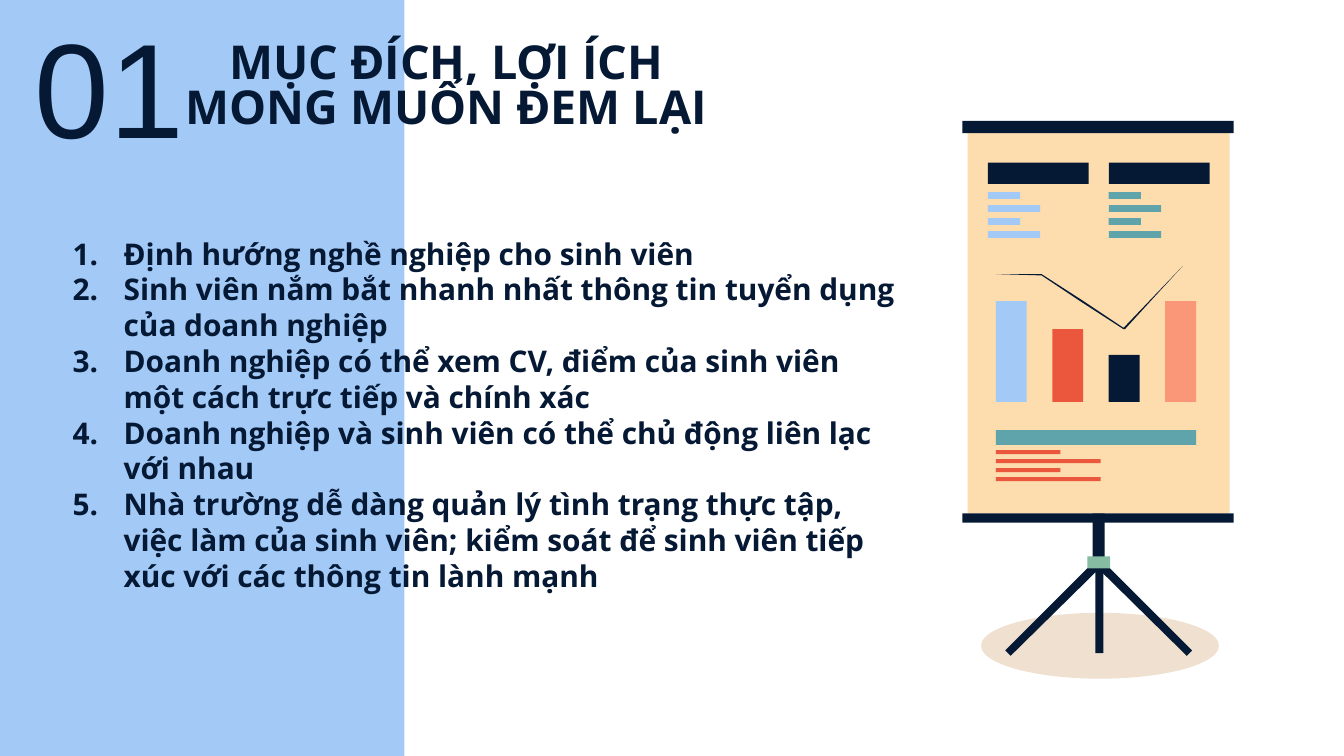
from lxml import etree
from pptx import Presentation
from pptx.dml.color import RGBColor
from pptx.enum.shapes import MSO_SHAPE
from pptx.enum.text import MSO_ANCHOR, MSO_AUTO_SIZE, PP_ALIGN
from pptx.oxml.ns import qn
from pptx.util import Inches, Pt

RECTANGLE, OVAL = MSO_SHAPE.RECTANGLE, MSO_SHAPE.OVAL
TOP, MIDDLE, BOTTOM = MSO_ANCHOR.TOP, MSO_ANCHOR.MIDDLE, MSO_ANCHOR.BOTTOM
LEFT, CENTER = PP_ALIGN.LEFT, PP_ALIGN.CENTER
NO_AUTOFIT = MSO_AUTO_SIZE.NONE

NAVY = RGBColor(0x05, 0x19, 0x34)
BLUE = RGBColor(0xA3, 0xCA, 0xF7)
TEAL = RGBColor(0x5F, 0xA4, 0xAB)
RED = RGBColor(0xEB, 0x57, 0x3D)
SALMON = RGBColor(0xFA, 0x97, 0x78)
CREAM = RGBColor(0xFD, 0xDC, 0xAE)
GREEN = RGBColor(0x85, 0xBC, 0xA2)
BROWN = RGBColor(0xB4, 0x5F, 0x06)

GOALS = [
    "Định hướng nghề nghiệp cho sinh viên",
    "Sinh viên nắm bắt nhanh nhất thông tin tuyển dụng của doanh nghiệp",
    "Doanh nghiệp có thể xem CV, điểm của sinh viên một cách trực tiếp và chính xác",
    "Doanh nghiệp và sinh viên có thể chủ động liên lạc với nhau",
    "Nhà trường dễ dàng quản lý tình trạng thực tập, việc làm của sinh viên; "
    "kiểm soát để sinh viên tiếp xúc với các thông tin lành mạnh",
]

presentation = Presentation()
presentation.slide_width = Inches(10)
presentation.slide_height = Inches(10) * 9 // 16
slide = presentation.slides.add_slide(presentation.slide_layouts[0])
shapes = slide.shapes


def add_block(left, top, width, height, color, kind=RECTANGLE):
    shape = shapes.add_shape(kind, Inches(left), Inches(top), Inches(width), Inches(height))
    shape.shadow.inherit = False
    shape.fill.solid()
    shape.fill.fore_color.rgb = color
    shape.line.fill.background()
    return shape


def add_outline(points, color):
    builder = shapes.build_freeform(Inches(points[0][0]), Inches(points[0][1]))
    builder.add_line_segments([(Inches(x), Inches(y)) for x, y in points[1:]])
    shape = builder.convert_to_shape()
    shape.shadow.inherit = False
    shape.fill.solid()
    shape.fill.fore_color.rgb = color
    shape.line.fill.background()


# Side panel behind the text, and the floor shadow under the stand
panel = add_block(-0.02, -0.02, 3.03, 5.65, BLUE)
shapes._spTree.insert(2, panel._element)
floor = add_block(7.3, 4.56, 1.77, 0.49, BROWN, OVAL)
floor_color = floor._element.spPr.find(qn("a:solidFill"))[0]
etree.SubElement(floor_color, qn("a:alpha")).set("val", "19000")

# Title, section number and numbered list
title, goals = shapes.title, slide.placeholders[1]
number = shapes.add_textbox(0, 0, 0, 0)
texts = [
    (title, (1.2, 0.2, 4.24, 0.92), ["MỤC ĐÍCH, LỢI ÍCH MONG MUỐN ĐEM LẠI"], MIDDLE,
     {"alignment": CENTER, "line_spacing": 0.8},
     {"name": "Open Sans", "size": Pt(25), "bold": True}),
    (number, (0.16, 0.47, 2.75, 0.86), ["01"], BOTTOM,
     {"alignment": LEFT},
     {"name": "Arial", "size": Pt(72), "bold": False}),
    (goals, (0.44, 1.65, 6.34, 4.19), GOALS, TOP,
     {"alignment": LEFT, "space_before": Pt(0)},
     {"name": "Open Sans", "size": Pt(16), "bold": True}),
]
for shape, box, lines, anchor, paragraph_format, font_format in texts:
    shape.left, shape.top, shape.width, shape.height = map(Inches, box)
    frame = shape.text_frame
    frame_format = {"word_wrap": True, "auto_size": NO_AUTOFIT, "vertical_anchor": anchor}
    for side in ("left", "top", "right", "bottom"):
        frame_format["margin_" + side] = Inches(0.1)
    for name, value in frame_format.items():
        setattr(frame, name, value)
    frame.text = "\n".join(lines)
    for paragraph in frame.paragraphs:
        for name, value in paragraph_format.items():
            setattr(paragraph, name, value)
        font = paragraph.runs[0].font
        for name, value in font_format.items():
            setattr(font, name, value)
        font.color.rgb = NAVY

for paragraph in goals.text_frame.paragraphs:
    properties = paragraph._p.get_or_add_pPr()
    properties.set("marL", str(Inches(0.38)))
    properties.set("indent", str(-Inches(0.38)))
    bullet_color = etree.SubElement(properties, qn("a:buClr"))
    etree.SubElement(bullet_color, qn("a:srgbClr")).set("val", str(NAVY))
    etree.SubElement(properties, qn("a:buFont")).set("typeface", "Open Sans")
    etree.SubElement(properties, qn("a:buAutoNum")).set("type", "arabicPeriod")

# Tripod
add_outline([(8.15, 4.17), (7.48, 4.84), (7.52, 4.88), (8.2, 4.21)], NAVY)
add_outline([(8.2, 4.17), (8.15, 4.21), (8.83, 4.88), (8.87, 4.84)], NAVY)
add_block(8.15, 4.09, 0.06, 0.77, NAVY)
add_block(8.13, 3.82, 0.09, 0.41, NAVY)
add_block(8.09, 4.14, 0.17, 0.09, GREEN)

# Board with its two rails
add_block(7.2, 0.99, 1.95, 2.83, CREAM)
add_block(7.16, 3.82, 2.02, 0.07, NAVY)
add_block(7.16, 0.9, 2.02, 0.09, NAVY)

# Two columns of short lines under a heading bar
for left, color in ((7.35, BLUE), (8.25, TEAL)):
    add_block(left, 1.21, 0.75, 0.16, NAVY)
    for row in range(4):
        add_block(left, 1.43 + 0.29 * row / 3, (0.24, 0.39)[row % 2], 0.05, color)

# Footer bar and lines
add_block(7.41, 3.2, 1.49, 0.11, TEAL)
for row in range(4):
    add_block(7.41, 3.35 + 0.2 * row / 3, (0.48, 0.78)[row % 2], 0.03, RED)

# Drawn bars standing on one baseline, with the trend stroke above
for column, (height, color) in enumerate(
        [(0.75, BLUE), (0.54, RED), (0.35, NAVY), (0.75, SALMON)]):
    add_block(7.41 + 0.42 * column, 2.99 - height, 0.23, height, color)
add_outline([(8.8, 1.98), (8.58, 2.21), (8.36, 2.44), (8.06, 2.24), (7.75, 2.04), (7.41, 2.04),
             (7.75, 2.05), (8.05, 2.25), (8.36, 2.45), (8.37, 2.45), (8.58, 2.22)], NAVY)

presentation.save("out.pptx")
